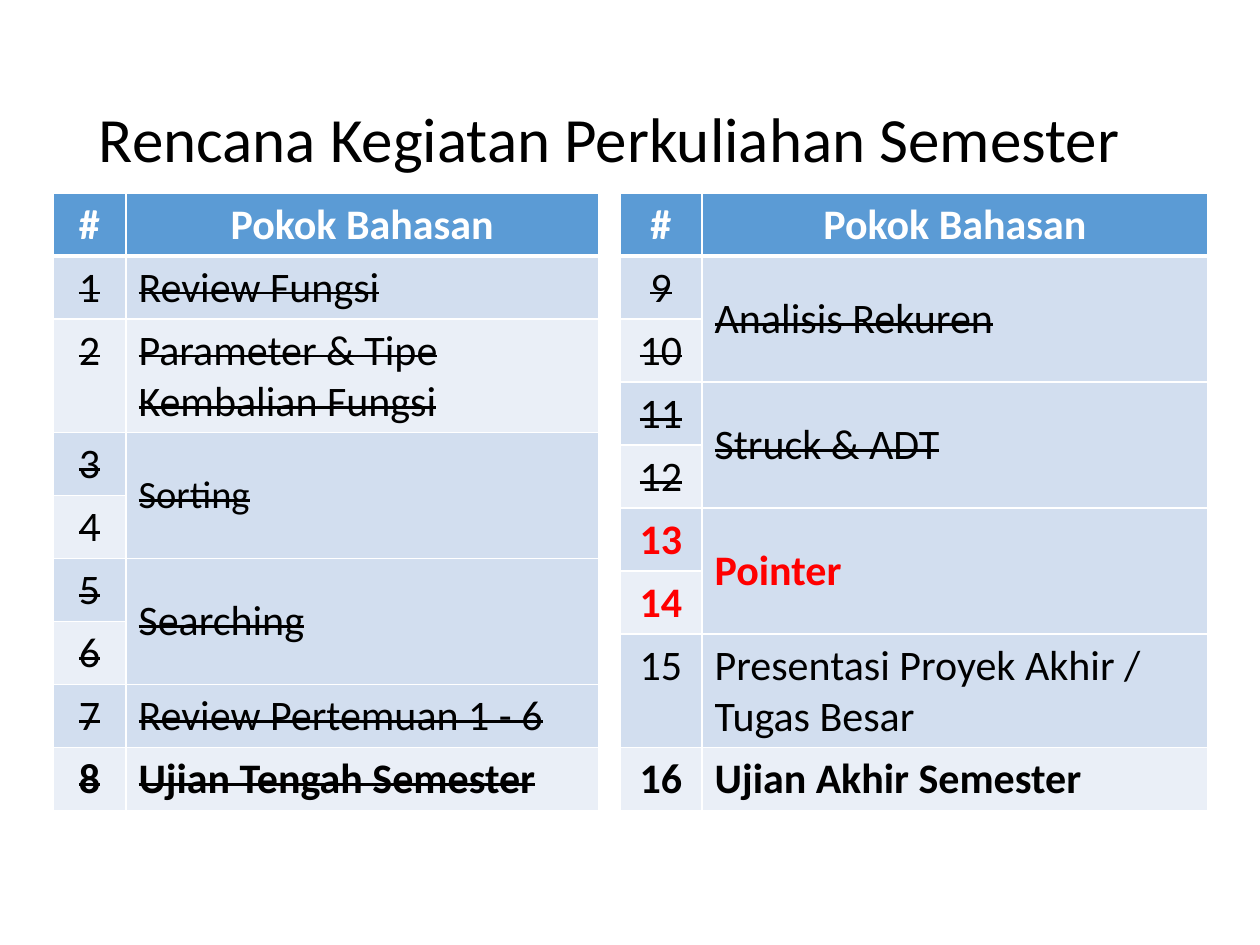
import lxml.etree
import pptx
import pptx.dml.color
import pptx.enum.text
import pptx.oxml.ns
import pptx.util

Pt = pptx.util.Pt
RGBColor = pptx.dml.color.RGBColor
PP_ALIGN = pptx.enum.text.PP_ALIGN
MSO_ANCHOR = pptx.enum.text.MSO_ANCHOR
qn = pptx.oxml.ns.qn

WHITE = RGBColor(0xFF, 0xFF, 0xFF)
BLACK = RGBColor(0x00, 0x00, 0x00)
RED = RGBColor(0xFF, 0x00, 0x00)
HEADER_BLUE = RGBColor(0x5B, 0x9B, 0xD5)
BANDS = [RGBColor(0xD2, 0xDE, 0xEF), RGBColor(0xEA, 0xEF, 0xF7)]

HEADER = {"bold": True, "color": WHITE}
DONE = {"strike": True}
DONE_SMALL = {"strike": True, "size": Pt(22)}
DONE_EXAM = {"strike": True, "bold": True}
CURRENT = {"bold": True, "color": RED}
PLANNED = {}
EXAM = {"bold": True}

TOP = Pt(110.2)
ROW_HEIGHT = Pt(29.2)

# Each topic: text, number of meetings it covers, format.
SCHEDULES = [
    {"left": 30.2, "widths": (41.8, 270), "first": 1, "topics": [
        ("Review Fungsi", 1, DONE),
        ("Parameter & Tipe Kembalian Fungsi", 1, DONE),
        ("Sorting", 2, DONE_SMALL),
        ("Searching", 2, DONE),
        ("Review Pertemuan 1 - 6", 1, DONE),
        ("Ujian Tengah Semester", 1, DONE_EXAM)]},
    {"left": 354.2, "widths": (47, 289), "first": 9, "topics": [
        ("Analisis Rekuren", 2, DONE),
        ("Struck & ADT", 2, DONE),
        ("Pointer", 2, CURRENT),
        ("Presentasi Proyek Akhir / Tugas Besar", 1, PLANNED),
        ("Ujian Akhir Semester", 1, EXAM)]},
]


def write_text(text_frame, text, text_format, alignment=PP_ALIGN.LEFT):
    paragraph = text_frame.paragraphs[0]
    paragraph.alignment = alignment
    run = paragraph.add_run()
    run.text = text
    values = {"name": "Calibri", "size": Pt(24), "bold": False, "color": BLACK, **text_format}
    run.font.color.rgb = values.pop("color")
    if values.pop("strike", False):
        run._r.get_or_add_rPr().set("strike", "sngStrike")
    for name, value in values.items():
        setattr(run.font, name, value)
    return paragraph


def style_cell(cell, row):
    """Set the banded fill and white borders, thick below the header."""
    cell.fill.solid()
    cell.fill.fore_color.rgb = BANDS[(row - 1) % 2] if row else HEADER_BLUE
    properties = cell._tc.get_or_add_tcPr()
    widths = {"a:lnL": 1, "a:lnR": 1, "a:lnT": 3 if row == 1 else 1, "a:lnB": 1 if row else 3}
    for index, (tag, width) in enumerate(widths.items()):
        line = lxml.etree.Element(qn(tag), w=str(Pt(width)))
        fill = lxml.etree.SubElement(line, qn("a:solidFill"))
        lxml.etree.SubElement(fill, qn("a:srgbClr"), val=str(WHITE))
        properties.insert(index, line)


presentation = pptx.Presentation()
presentation.slide_width = Pt(720)
presentation.slide_height = Pt(540)
slide = presentation.slides.add_slide(presentation.slide_layouts[6])

title = slide.shapes.add_textbox(Pt(49.5), Pt(28.8), Pt(621), Pt(104.4))
title.text_frame.word_wrap = True
title.text_frame.vertical_anchor = MSO_ANCHOR.MIDDLE
title_paragraph = write_text(title.text_frame, "Rencana Kegiatan Perkuliahan Semester", {"size": Pt(36)})
title_paragraph.line_spacing = 0.9

for schedule in SCHEDULES:
    row_count = 1 + sum(meetings for _, meetings, _ in schedule["topics"])
    table = slide.shapes.add_table(
        row_count, 2, Pt(schedule["left"]), TOP,
        Pt(sum(schedule["widths"])), ROW_HEIGHT * row_count).table
    for column, width in zip(table.columns, schedule["widths"]):
        column.width = Pt(width)
    for row_index, row in enumerate(table.rows):
        row.height = ROW_HEIGHT
        for cell in row.cells:
            style_cell(cell, row_index)

    for column_index, heading in enumerate(("#", "Pokok Bahasan")):
        write_text(table.cell(0, column_index).text_frame, heading, HEADER, PP_ALIGN.CENTER)

    row_index = 1
    for topic, meetings, text_format in schedule["topics"]:
        topic_cell = table.cell(row_index, 1)
        write_text(topic_cell.text_frame, topic, text_format)
        if meetings > 1:
            topic_cell.merge(table.cell(row_index + meetings - 1, 1))
            topic_cell.vertical_anchor = MSO_ANCHOR.MIDDLE
        number_format = {**text_format, "size": Pt(24)}
        for _ in range(meetings):
            number = str(schedule["first"] + row_index - 1)
            write_text(table.cell(row_index, 0).text_frame, number, number_format, PP_ALIGN.CENTER)
            row_index += 1

presentation.save("out.pptx")
